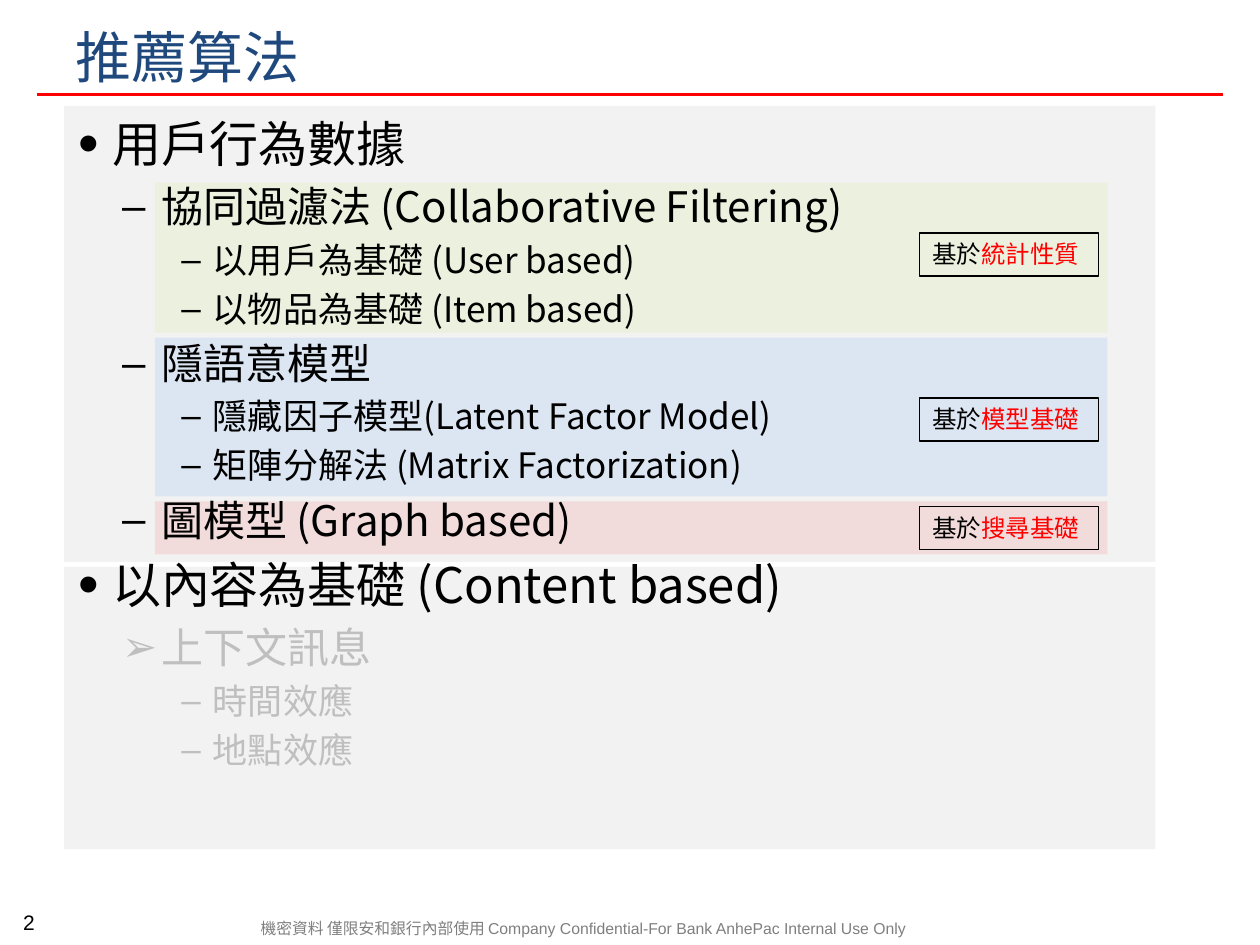
from lxml.etree import SubElement
from pptx import Presentation
from pptx.dml.color import RGBColor
from pptx.enum.shapes import MSO_CONNECTOR as Connector, MSO_SHAPE as Shape
from pptx.enum.text import MSO_ANCHOR as Anchor, MSO_AUTO_SIZE as AutoSize, PP_ALIGN as Align
from pptx.oxml.ns import qn
from pptx.util import Inches, Pt

CJK = "Noto Sans CJK SC"
BLACK, RED, GRAY, FAINT, PANEL = "000000", "FF0000", "7F7F7F", "BFBFBF", "F2F2F2"


def color(value):
    return RGBColor.from_string(value)


class SlideBuilder:
    # Per list level: text size, left margin, hanging indent, bullet, bullet percent
    LEVELS = [(28, 0.29, -0.27, "•", 120), (24, 0.68, -0.31, "–", 100), (20, 1.09, -0.25, "–", 100)]

    def __init__(self, page):
        self.page = page

    def place(self, box, left, top, width, height):
        box.left, box.top, box.width, box.height = map(Inches, (left, top, width, height))
        # Placeholders come first in the template; keep the drawing order of the calls
        box.element.getparent().append(box.element)

    def span(self, para, text, size, ink=BLACK, font=CJK):
        span = para.add_run()
        span.text = text
        span.font.size, span.font.name = Pt(size), font
        span.font.color.rgb = color(ink)
        SubElement(span.font._element, qn("a:ea"), typeface=CJK)

    def rectangle(self, left, top, width, height, fill=None, line=None):
        box = self.page.shapes.add_shape(Shape.RECTANGLE, *map(Inches, (left, top, width, height)))
        box.shadow.inherit = False
        if fill:
            box.fill.solid()
            box.fill.fore_color.rgb = color(fill)
        else:
            box.fill.background()
        if line:
            box.line.color.rgb = color(line)
            box.line.width = Pt(0.75)
        else:
            box.line.fill.background()
        return box

    def tag(self, top, basis):
        frame = self.rectangle(7.3, top, 1.42, 0.34, line=BLACK).text_frame
        frame.auto_size, frame.vertical_anchor = AutoSize.SHAPE_TO_FIT_TEXT, Anchor.TOP
        frame.word_wrap = False
        para = frame.paragraphs[0]
        para.alignment = Align.LEFT
        self.span(para, "基於", 14)
        self.span(para, basis, 14, RED)

    def rule(self, left, top, right):
        line = self.page.shapes.add_connector(
            Connector.STRAIGHT, Inches(left), Inches(top), Inches(right), Inches(top))
        line.line.color.rgb = color(RED)
        line.line.width = Pt(1.25)
        SubElement(line.element.spPr, qn("a:effectLst"))

    def small_text(self, area, text, size, ink, anchor, align, spacing):
        frame = self.page.shapes.add_textbox(*map(Inches, area)).text_frame
        frame.word_wrap, frame.vertical_anchor = True, anchor
        para = frame.paragraphs[0]
        para.alignment, para.line_spacing = align, Pt(spacing)
        self.span(para, text, size, ink, "Arial")

    def title(self, text):
        box = self.page.shapes.title
        self.place(box, 0.5, 0.13, 9, 0.58)
        frame = box.text_frame
        frame.auto_size, frame.vertical_anchor = AutoSize.NONE, Anchor.TOP
        frame.paragraphs[0].alignment = Align.LEFT
        self.span(frame.paragraphs[0], text, 32, "1F497D")

    def outline(self, items):
        box = self.page.placeholders[1]
        self.place(box, 0.5, 0.85, 9, 6.39)
        frame = box.text_frame
        frame.auto_size = AutoSize.NONE
        for index, (level, text, ink, mark) in enumerate(items):
            para = frame.add_paragraph() if index else frame.paragraphs[0]
            size, margin, indent, bullet, percent = self.LEVELS[level]
            para.level = level
            props = para._p.get_or_add_pPr()
            props.set("marL", str(Inches(margin)))
            props.set("indent", str(Inches(indent)))
            SubElement(props, qn("a:buSzPct"), val=str(percent * 1000))
            SubElement(props, qn("a:buFont"), typeface="Arial")
            SubElement(props, qn("a:buChar"), char=mark or bullet)
            self.span(para, text, size, ink)


def main():
    deck = Presentation()
    deck.slide_width, deck.slide_height = Inches(10), Inches(7.5)
    slide = SlideBuilder(deck.slides.add_slide(deck.slide_layouts[1]))

    # Footer, red rule and page number
    slide.small_text((1.97, 7.25, 5.7, 0.24),
                     "機密資料 僅限安和銀行內部使用 Company Confidential-For Bank AnhePac Internal Use Only",
                     9, GRAY, Anchor.MIDDLE, Align.LEFT, 10)
    slide.rule(0.29, 0.75, 9.71)
    slide.small_text((0.01, 7.22, 0.44, 0.25), "2", 12, BLACK, Anchor.BOTTOM, Align.CENTER, 10.2)

    # Gray panels for the two topics, coloured bands for the three methods
    for top, height in ((4.5, 2.24), (0.84, 3.62)):
        slide.rectangle(0.51, top, 8.66, height, PANEL)
    for top, height, fill in ((1.45, 1.19, "EBF1DE"), (2.68, 1.26, "DCE6F2"), (3.98, 0.42, "F2DCDB")):
        slide.rectangle(1.23, top, 7.56, height, fill)

    # Title and outline
    slide.title("推薦算法")
    slide.outline([
        (0, "用戶行為數據", BLACK, None),
        (1, "協同過濾法 (Collaborative Filtering)", BLACK, None),
        (2, "以用戶為基礎 (User based)", BLACK, None),
        (2, "以物品為基礎 (Item based)", BLACK, None),
        (1, "隱語意模型", BLACK, None),
        (2, "隱藏因子模型(Latent Factor Model)", BLACK, None),
        (2, "矩陣分解法 (Matrix Factorization)", BLACK, None),
        (1, "圖模型 (Graph based)", BLACK, None),
        (0, "以內容為基礎 (Content based)", BLACK, None),
        (1, "上下文訊息", FAINT, "➢"),
        (2, "時間效應", FAINT, None),
        (2, "地點效應", FAINT, None),
    ])

    # Tags naming the basis of each method
    for top, basis in ((1.85, "統計性質"), (3.16, "模型基礎"), (4.02, "搜尋基礎")):
        slide.tag(top, basis)

    deck.save("out.pptx")


if __name__ == "__main__":
    main()
